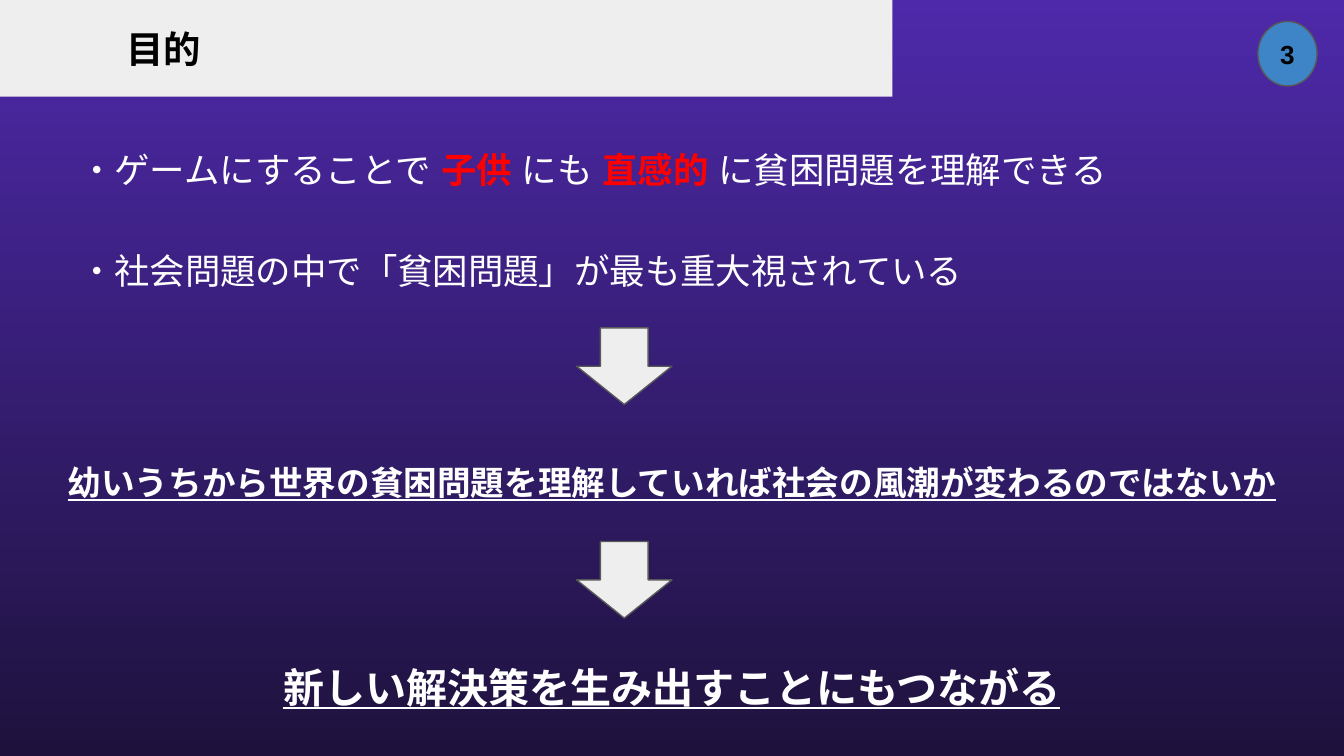
import lxml.etree
import pptx
import pptx.dml.color
import pptx.enum.shapes
import pptx.enum.text
import pptx.oxml.ns
import pptx.util

Inches = pptx.util.Inches
Pt = pptx.util.Pt
RGBColor = pptx.dml.color.RGBColor
Shape = pptx.enum.shapes.MSO_SHAPE
Align = pptx.enum.text.PP_ALIGN
Anchor = pptx.enum.text.MSO_ANCHOR
AutoSize = pptx.enum.text.MSO_AUTO_SIZE
qn = pptx.oxml.ns.qn

VIOLET = RGBColor(0x4E, 0x29, 0xAA)
NIGHT = RGBColor(0x1E, 0x12, 0x3D)
PALE = RGBColor(0xEE, 0xEE, 0xEE)
BLUE = RGBColor(0x3D, 0x85, 0xC6)
GRAY = RGBColor(0x59, 0x59, 0x59)
BLACK = RGBColor(0, 0, 0)
WHITE = RGBColor(0xFF, 0xFF, 0xFF)
RED = RGBColor(0xFF, 0, 0)


class SlideBuilder:
    """Holds the text style and the slide being built."""

    font_name = "Arial"
    inset = Inches(0.1)

    def __init__(self, page):
        self.page = page

    def background(self, top, bottom):
        fill = self.page.background.fill
        fill.gradient()
        fill.gradient_angle = 270
        for stop, color in zip(fill.gradient_stops, (top, bottom)):
            stop.color.rgb = color

    def format_frame(self, frame, anchor):
        frame.word_wrap = True
        frame.vertical_anchor = anchor
        frame.margin_left = frame.margin_right = self.inset
        frame.margin_top = frame.margin_bottom = self.inset

    def format_span(self, span, size, color, bold=False, underline=False):
        font = span.font
        font.name = self.font_name
        font.size = Pt(size)
        font.color.rgb = color
        font.bold = bold
        font.underline = underline
        # The same typeface for East Asian characters
        properties = span._r.get_or_add_rPr()
        east_asian = lxml.etree.SubElement(properties, qn("a:ea"))
        east_asian.set("typeface", self.font_name)

    def title(self, text, width, height, indent):
        box = self.page.shapes.title
        box.left, box.top = Inches(0), Inches(0)
        box.width, box.height = Inches(width), Inches(height)
        box.fill.solid()
        box.fill.fore_color.rgb = PALE
        frame = box.text_frame
        frame.text = text
        self.format_frame(frame, Anchor.MIDDLE)
        frame.auto_size = AutoSize.NONE
        frame.margin_left = Inches(indent)
        para = frame.paragraphs[0]
        para.alignment = Align.LEFT
        self.format_span(para.runs[0], 20, BLACK, bold=True)

    def text(self, left, top, width, height, spans, size,
             align=Align.LEFT, underline=False):
        """Adds one line of text from (words, color, bold) spans."""
        box = self.page.shapes.add_textbox(
            Inches(left), Inches(top), Inches(width), Inches(height))
        frame = box.text_frame
        self.format_frame(frame, Anchor.TOP)
        frame.auto_size = AutoSize.SHAPE_TO_FIT_TEXT
        para = frame.paragraphs[0]
        para.alignment = align
        for words, color, bold in spans:
            span = para.add_run()
            span.text = words
            self.format_span(span, size, color, bold, underline)

    def conclusion(self, top, height, words, size):
        self.text(0, top, 10, height, [(words, WHITE, True)], size,
                  Align.CENTER, underline=True)

    def shape(self, kind, left, top, width, height, color):
        shape = self.page.shapes.add_shape(
            kind, Inches(left), Inches(top), Inches(width), Inches(height))
        shape.shadow.inherit = False
        shape.fill.solid()
        shape.fill.fore_color.rgb = color
        shape.line.color.rgb = GRAY
        shape.line.width = Pt(0.75)
        return shape

    def page_badge(self, number):
        badge = self.shape(Shape.FLOWCHART_CONNECTOR, 9.36, 0.16, 0.44, 0.48, BLUE)
        frame = badge.text_frame
        frame.text = number
        self.format_frame(frame, Anchor.MIDDLE)
        para = frame.paragraphs[0]
        para.alignment = Align.CENTER
        self.format_span(para.runs[0], 14, BLACK, bold=True)


def main():
    # Widescreen page, 16 to 9
    deck = pptx.Presentation()
    deck.slide_width = Inches(10)
    deck.slide_height = deck.slide_width * 9 // 16
    builder = SlideBuilder(deck.slides.add_slide(deck.slide_layouts[5]))
    builder.background(VIOLET, NIGHT)

    # Heading and page number
    builder.title("目的", 6.64, 0.72, indent=0.94)
    builder.page_badge("3")

    # Reasons
    builder.text(0.49, 1, 9.24, 0.52, [
        ("・ゲームにすることで ", WHITE, False),
        ("子供 ", RED, True),
        ("にも ", WHITE, False),
        ("直感的 ", RED, True),
        ("に貧困問題を理解できる", WHITE, False),
    ], 19)
    builder.text(0.49, 1.75, 7.75, 0.52, [
        ("・社会問題の中で「貧困問題」が最も重大視されている", WHITE, False),
    ], 19)

    # Conclusions, each led by an arrow
    for top in (2.44, 4.03):
        builder.shape(Shape.DOWN_ARROW, 4.29, top, 0.71, 0.57, PALE)
    builder.conclusion(
        3.34, 0.5,
        "幼いうちから世界の貧困問題を理解していれば社会の風潮が変わるのではないか", 18)
    builder.conclusion(4.83, 0.57, "新しい解決策を生み出すことにもつながる", 22)

    deck.save("out.pptx")


if __name__ == "__main__":
    main()
